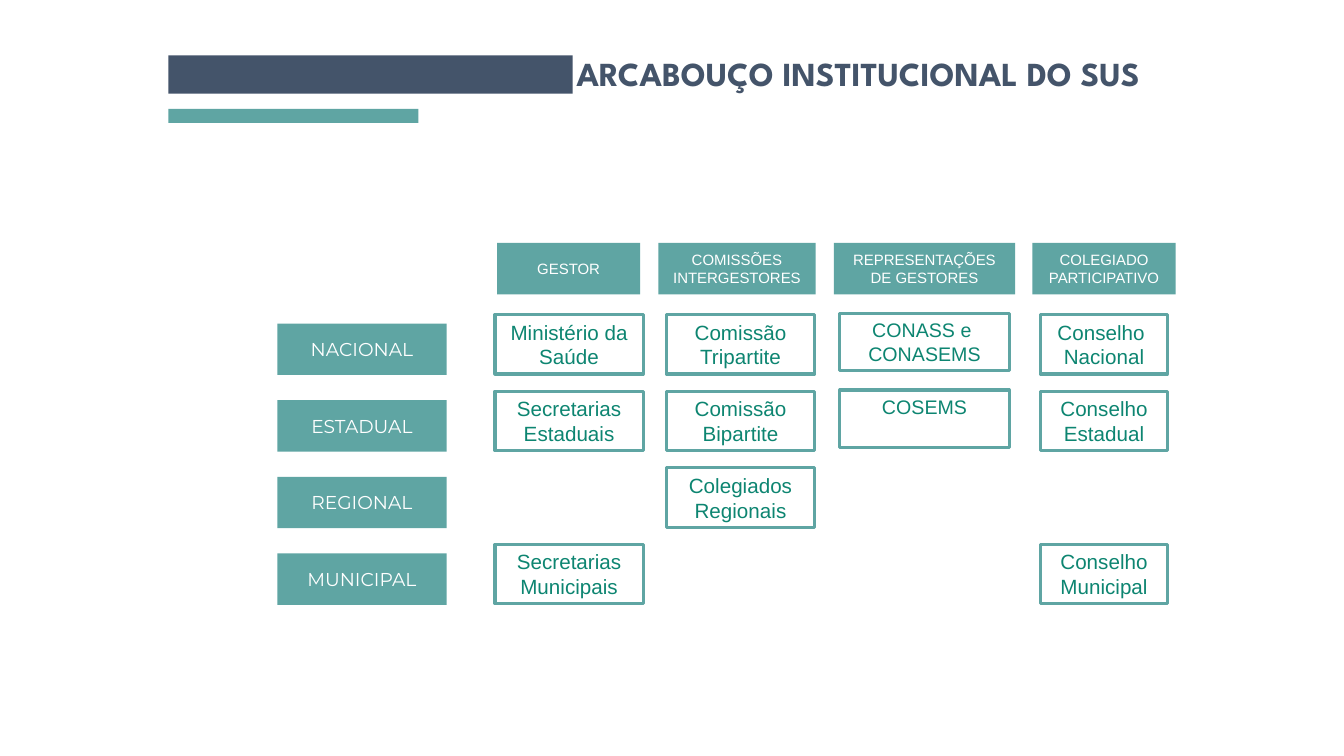
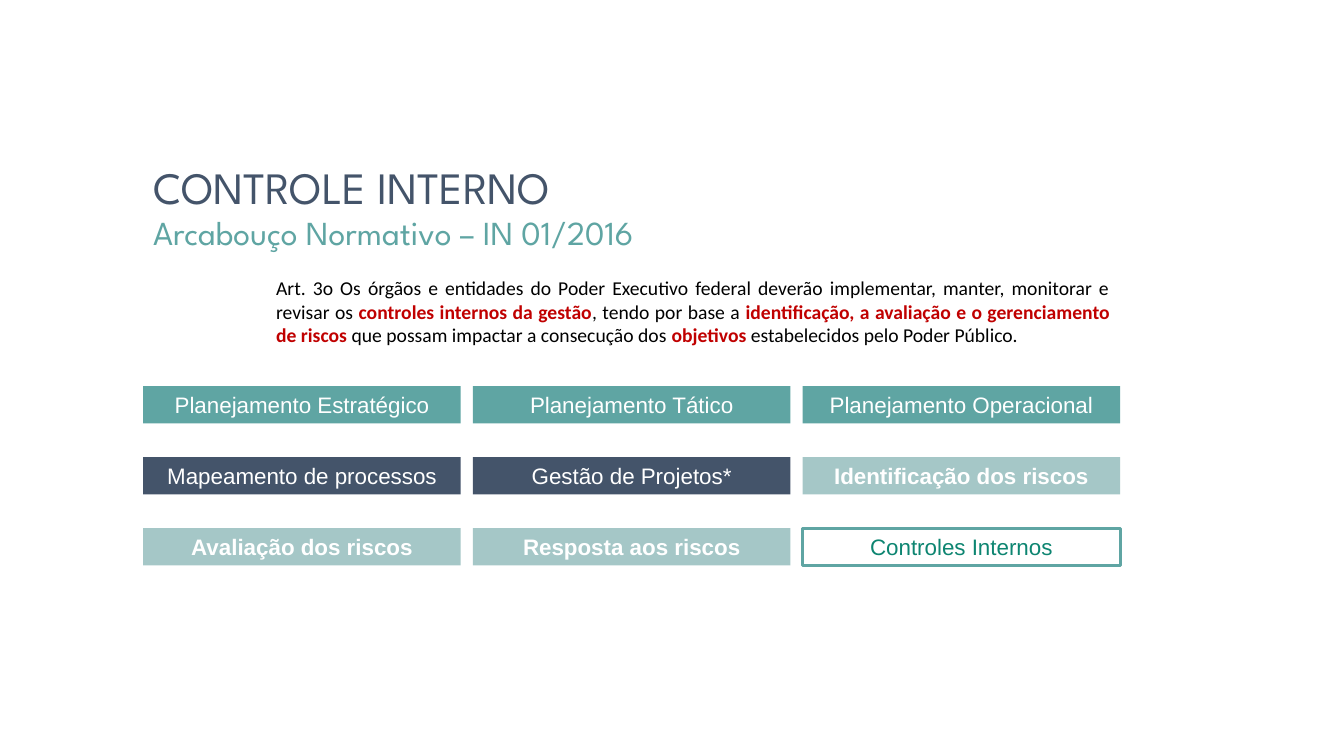
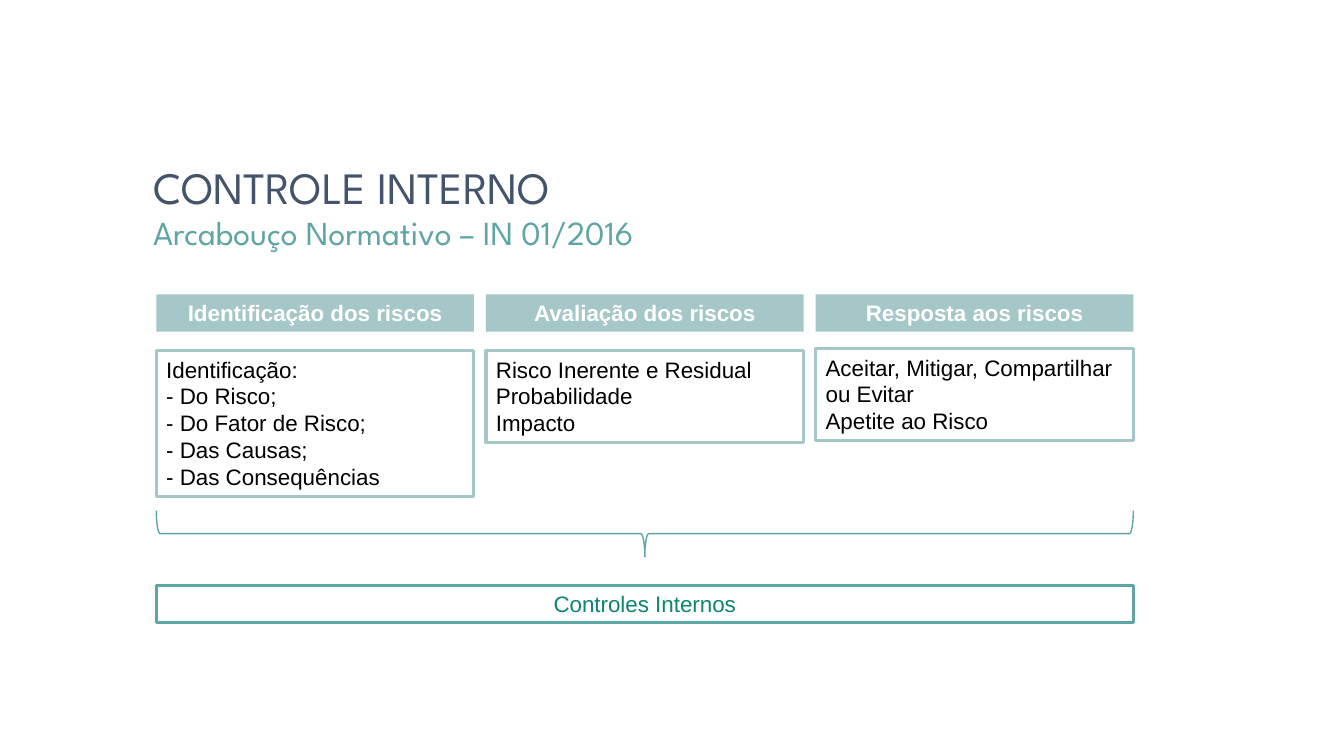
"""Build three slides on the institutional framework of SUS and on internal control."""
from pptx import Presentation
from pptx.dml.color import RGBColor
from pptx.enum.shapes import MSO_SHAPE
from pptx.enum.text import MSO_ANCHOR, PP_ALIGN
from pptx.util import Inches, Pt

NAVY, TEAL, PALE, GREEN = "44546A", "5FA5A3", "A5C7C7", "0D8571"
WHITE, BLACK, RED = "FFFFFF", "000000", "C00000"

TITLE = {"name": "League Spartan", "size": 32, "color": NAVY}
SUBTITLE = {"name": "League Spartan", "size": 24, "color": TEAL}
BANNER_TITLE = {"name": "League Spartan", "size": 24, "color": NAVY, "bold": True}
LEVEL = {"name": "Montserrat", "size": 13.3, "color": WHITE}
HEADER = {"name": "Arial", "size": 10.7, "color": WHITE}
CELL = {"name": "Arial", "size": 14.7, "color": GREEN}
SMALL_CELL = {**CELL, "size": 14}
BODY = {"name": "Calibri", "size": 14, "color": BLACK}
EMPHASIS = {**BODY, "color": RED, "bold": True}
STEP = {"name": "Arial", "size": 16, "color": WHITE}
BOLD_STEP = {**STEP, "bold": True}
CONTROL = {**STEP, "color": GREEN}
DETAIL = {**STEP, "color": BLACK}

PLANNING = {"fill": TEAL, "font": STEP}
MANAGEMENT = {"fill": NAVY, "font": STEP}
RISK = {"fill": PALE, "font": BOLD_STEP}
OUTCOME = {"line": TEAL, "font": CONTROL}

LEVELS = ["NACIONAL", "ESTADUAL", "REGIONAL", "MUNICIPAL"]
COLUMNS = [
    {"header": ["GESTOR"], "header_span": (4.93, 1.42), "cell_box": (4.91, 3.12, 1.47, 0.59), "font": CELL,
     "cells": [["Ministério da Saúde"], ["Secretarias Estaduais"], None, ["Secretarias Municipais"]]},
    {"header": ["COMISSÕES INTERGESTORES"], "header_span": (6.53, 1.56),
     "cell_box": (6.61, 3.12, 1.47, 0.59), "font": CELL,
     "cells": [["Comissão Tripartite"], ["Comissão Bipartite"], ["Colegiados Regionais"], None]},
    {"header": ["REPRESENTAÇÕES", "DE GESTORES"], "header_span": (8.27, 1.8),
     "cell_box": (8.33, 3.11, 1.68, 0.57), "font": SMALL_CELL,
     "cells": [["CONASS e ", "CONASEMS"], ["COSEMS"], None, None]},
    {"header": ["COLEGIADO PARTICIPATIVO"], "header_span": (10.24, 1.42),
     "cell_box": (10.32, 3.12, 1.26, 0.59), "font": CELL,
     "cells": [["Conselho ", "Nacional"], ["Conselho Estadual"], None, ["Conselho Municipal"]]},
]
ARTICLE = [
    ("Art. 3o Os órgãos e entidades do Poder Executivo federal deverão implementar, manter, "
     "monitorar e revisar os ", BODY),
    ("controles internos da gestão", EMPHASIS),
    (", tendo por base a ", BODY),
    ("identificação, a avaliação e o gerenciamento de riscos", EMPHASIS),
    (" que possam impactar a consecução dos ", BODY),
    ("objetivos", EMPHASIS),
    (" estabelecidos pelo Poder Público.", BODY),
]
STEP_ROWS = [
    [("Planejamento Estratégico", PLANNING), ("Planejamento Tático", PLANNING),
     ("Planejamento Operacional", PLANNING)],
    [("Mapeamento de processos", MANAGEMENT), ("Gestão de Projetos*", MANAGEMENT),
     ("Identificação dos riscos", RISK)],
    [("Avaliação dos riscos", RISK), ("Resposta aos riscos", RISK), ("Controles Internos", OUTCOME)],
]
RISK_DETAILS = [
    ("Identificação dos riscos", 3.48, 1.45,
     ["Identificação:", "- Do Risco;", "- Do Fator de Risco;", "- Das Causas;", "- Das Consequências"]),
    ("Avaliação dos riscos", 3.48, 0.91, ["Risco Inerente e Residual", "Probabilidade", "Impacto"]),
    ("Resposta aos riscos", 3.46, 0.91, ["Aceitar, Mitigar, Compartilhar ou Evitar", "Apetite ao Risco"]),
]

LEVEL_PITCH = 0.76
STEP_WIDTH, STEP_HEIGHT, STEP_PITCH, STEP_ROW_PITCH = 3.15, 0.37, 3.27, 0.705
STEPS_WIDTH = 2 * STEP_PITCH + STEP_WIDTH


def color(value):
    """Turn a hex string into a colour."""
    return RGBColor.from_string(value)


def write(frame, paragraphs, align=PP_ALIGN.LEFT, anchor=MSO_ANCHOR.TOP):
    """Fill a text frame with paragraphs, each a list of (text, font) runs."""
    frame.word_wrap = True
    frame.vertical_anchor = anchor
    for index, runs in enumerate(paragraphs):
        paragraph = frame.add_paragraph() if index else frame.paragraphs[0]
        paragraph.alignment = align
        for text, font in runs:
            run = paragraph.add_run()
            run.text = text
            for name, value in font.items():
                if name == "color":
                    run.font.color.rgb = color(value)
                else:
                    setattr(run.font, name, Pt(value) if name == "size" else value)


def add_text(slide, box, runs, align=PP_ALIGN.LEFT):
    """Add a text box holding one paragraph."""
    shape = slide.shapes.add_textbox(*map(Inches, box))
    write(shape.text_frame, [runs], align)


def add_box(slide, box, lines=(), font=None, fill=None, line=None, width=2.25,
            align=PP_ALIGN.CENTER, anchor=MSO_ANCHOR.TOP, preset=MSO_SHAPE.RECTANGLE):
    """Add a filled or outlined shape with optional lines of text."""
    shape = slide.shapes.add_shape(preset, *map(Inches, box))
    shape.shadow.inherit = False
    if fill:
        shape.fill.solid()
        shape.fill.fore_color.rgb = color(fill)
    else:
        shape.fill.background()
    if line:
        shape.line.color.rgb = color(line)
        shape.line.width = Pt(width)
    else:
        shape.line.fill.background()
    write(shape.text_frame, [[(text, font)] for text in lines], align, anchor)
    return shape


def add_control_heading(slide):
    """Add the title and subtitle shared by the internal control slides."""
    add_text(slide, (1.42, 1.54, 9.69, 0.64), [("CONTROLE INTERNO", TITLE)])
    add_text(slide, (1.42, 2.05, 8, 0.5), [("Arcabouço Normativo – IN 01/2016", SUBTITLE)])


def build_framework(slide):
    """Build the matrix of institutions by level of government."""
    add_box(slide, (1.67, 0.55, 4.01, 0.38), fill=NAVY)
    add_box(slide, (1.67, 1.08, 2.48, 0.14), fill=TEAL)
    add_text(slide, (5.62, 0.48, 6.75, 0.5), [("ARCABOUÇO INSTITUCIONAL DO SUS", BANNER_TITLE)])
    for row, level in enumerate(LEVELS):
        add_box(slide, (2.75, 3.21 + row * LEVEL_PITCH, 1.68, 0.51), [level], LEVEL,
                fill=TEAL, anchor=MSO_ANCHOR.MIDDLE)
    for column in COLUMNS:
        left, width = column["header_span"]
        add_box(slide, (left, 2.41, width, 0.51), column["header"], HEADER,
                fill=TEAL, anchor=MSO_ANCHOR.MIDDLE)
        left, top, width, height = column["cell_box"]
        for row, lines in enumerate(column["cells"]):
            if lines:
                add_box(slide, (left, top + row * LEVEL_PITCH, width, height), lines,
                        column["font"], line=TEAL)


def build_steps(slide):
    """Build the legal article and the grid of management steps."""
    add_control_heading(slide)
    add_text(slide, (2.64, 2.69, 8.47, 0.81), ARTICLE, PP_ALIGN.JUSTIFY)
    for row, steps in enumerate(STEP_ROWS):
        for column, (text, style) in enumerate(steps):
            box = (1.42 + column * STEP_PITCH, 3.83 + row * STEP_ROW_PITCH, STEP_WIDTH, STEP_HEIGHT)
            add_box(slide, box, [text], **style)


def build_risks(slide):
    """Build the risk steps, their details and the brace leading to internal controls."""
    add_control_heading(slide)
    left = 1.55
    for column, (heading, top, height, details) in enumerate(RISK_DETAILS):
        step_left = left + column * STEP_PITCH
        add_box(slide, (step_left, 2.92, STEP_WIDTH, STEP_HEIGHT), [heading], **RISK)
        add_box(slide, (step_left, top, STEP_WIDTH, height), details, DETAIL,
                line=PALE, align=PP_ALIGN.LEFT)
    add_box(slide, (left, 5.81, STEPS_WIDTH, STEP_HEIGHT), ["Controles Internos"], **OUTCOME)
    depth = 0.46
    brace_left = left + (STEPS_WIDTH - depth) / 2
    brace = add_box(slide, (brace_left, 0.45, depth, STEPS_WIDTH), line=TEAL, width=1,
                    preset=MSO_SHAPE.RIGHT_BRACE)
    brace.rotation = 90


def main():
    """Create the presentation and save it."""
    presentation = Presentation()
    presentation.slide_width, presentation.slide_height = Inches(13.33), Inches(7.5)
    for build in (build_framework, build_steps, build_risks):
        build(presentation.slides.add_slide(presentation.slide_layouts[6]))
    presentation.save("out.pptx")


if __name__ == "__main__":
    main()
